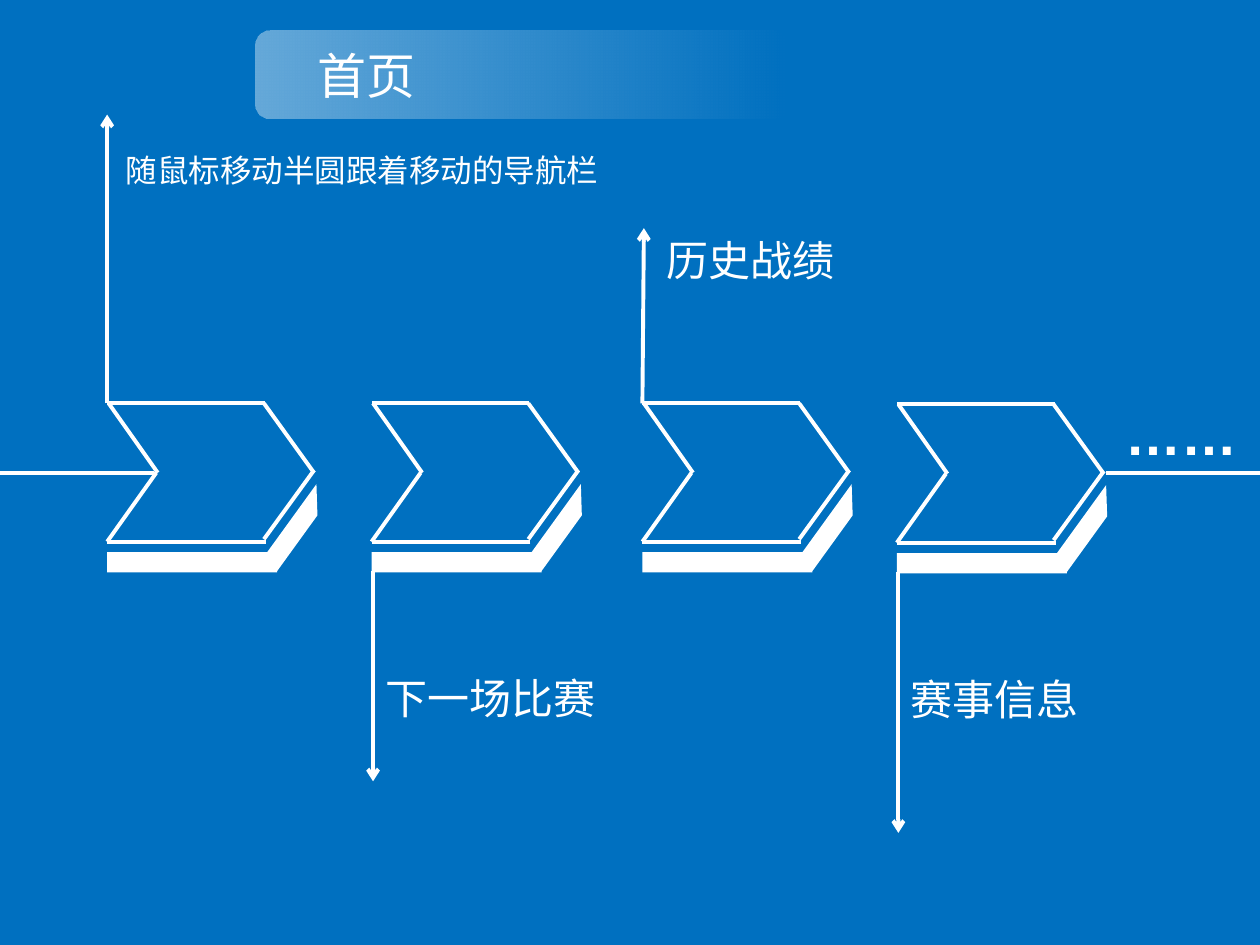
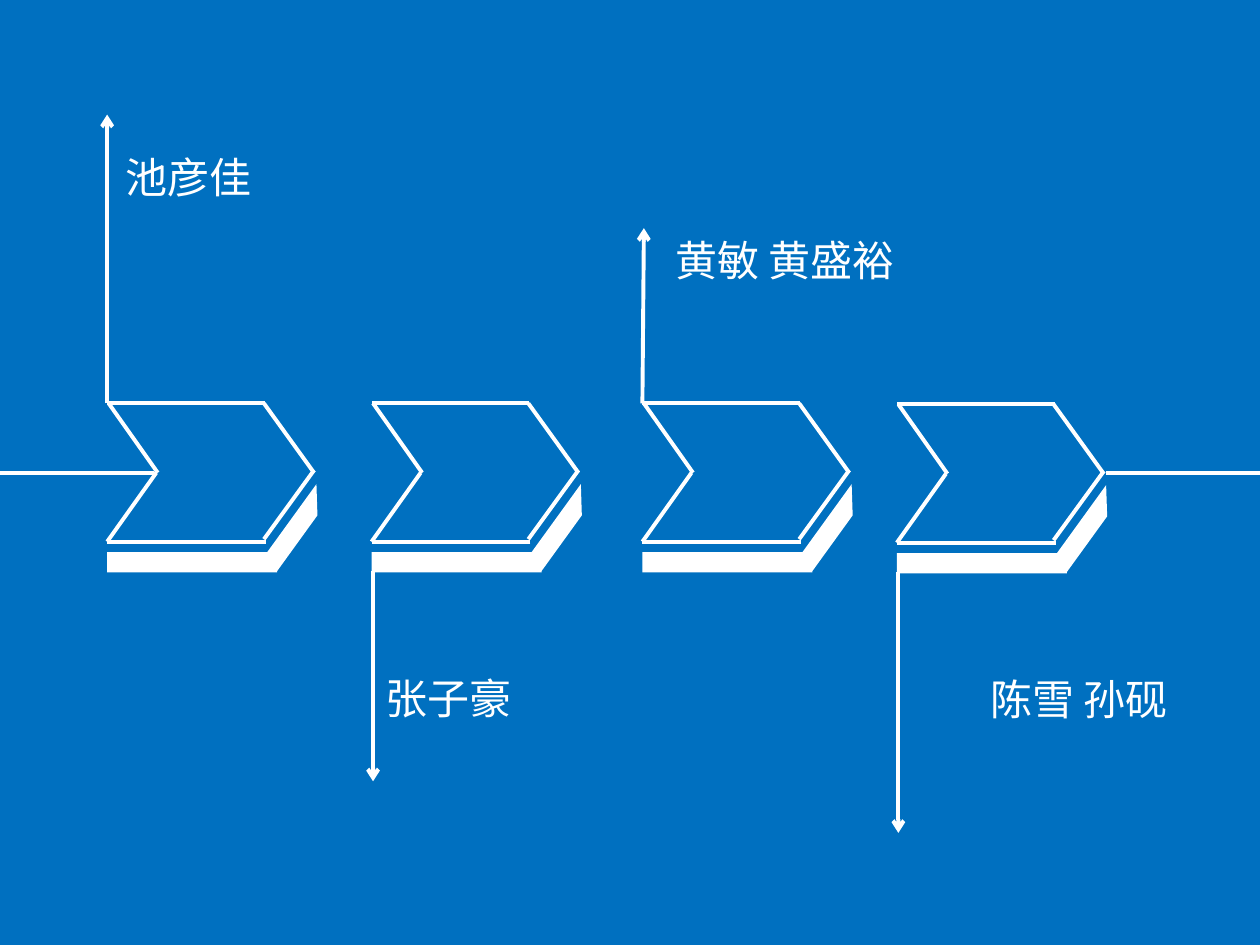
from dataclasses import dataclass

from lxml import etree
from pptx import Presentation
from pptx import util as u
from pptx.dml.color import RGBColor
from pptx.enum import shapes, text
from pptx.oxml import ns

BLUE = "0070C0"
WHITE = "FFFFFF"
CJK_FONT = "Noto Sans CJK SC"
LINE_WIDTH = u.Pt(2.25)
AXIS_Y = 9.53

# All coordinates are centimetres; chevron parts are relative to the stage corner.
CHEVRON_EDGES = [
    ((1.02, 1.4), (0.03, 0)),
    ((3.18, 0), (0, 0)),
    ((4.17, 1.4), (3.16, 0)),
    ((0.99, 1.4), (0, 2.79)),
    ((3.2, 2.79), (0, 2.79)),
    ((4.17, 1.35), (3.16, 2.74)),
]
FOLD_POINTS = [(3.12, 3.15), (4.22, 1.63), (4.24, 2.26), (3.43, 3.38)]
BAR_TOP, BAR_WIDTH, BAR_HEIGHT = 3.0, 3.43, 0.41


@dataclass(frozen=True)
class Stage:
    left: float
    top: float
    arrow_start: tuple[float, float]
    arrow_end: tuple[float, float]


@dataclass(frozen=True)
class Label:
    words: str
    left: float
    top: float
    width: float
    height: float = 1.27
    size: int = 24
    font: str = CJK_FONT
    bold: bool = False
    wrap: bool = False
    align: text.PP_ALIGN = text.PP_ALIGN.LEFT


STAGES = [
    Stage(2.16, 8.13, (2.16, 8.13), (2.16, 2.31)),
    Stage(7.49, 8.13, (7.52, 11.51), (7.52, 15.75)),
    Stage(12.95, 8.13, (12.95, 8.13), (12.98, 4.6)),
    Stage(18.08, 8.15, (18.11, 11.53), (18.11, 16.79)),
]
FEATURES = [
    Label("随鼠标移动半圆跟着移动的导航栏", 2.29, 2.92, 10.13, 1.02, size=18),
    Label("下一场比赛", 7.52, 13.44, 4.78),
    Label("历史战绩", 13.18, 4.6, 3.94),
    Label("赛事信息", 18.11, 13.46, 3.94),
    Label("……", 22.43, 7.92, 2.97, 1.63, size=32, font="Arial", bold=True, wrap=True),
]
MEMBERS = [
    Label("池彦佳", 2.29, 2.92, 3.07),
    Label("张子豪", 7.52, 13.44, 3.07),
    Label("黄敏 黄盛裕", 13.37, 4.6, 5.08),
    Label("陈雪 孙砚", 19.66, 13.46, 4.19, align=text.PP_ALIGN.CENTER),
]
PAGE_TITLE = Label("首页", 6.15, 0.79, 9.73, 1.45, size=28, wrap=True)


def colour(value: str) -> RGBColor:
    return RGBColor.from_string(value)


def add_child(parent, tag: str, **attributes: str) -> None:
    etree.SubElement(parent, ns.qn(tag), attributes)


def fill_white(shape) -> None:
    shape.shadow.inherit = False
    shape.fill.solid()
    shape.fill.fore_color.rgb = colour(WHITE)
    shape.line.fill.background()


def draw_line(slide, start: tuple, end: tuple, arrow: bool = False) -> None:
    ends = [u.Cm(value) for value in (*start, *end)]
    connector = slide.shapes.add_connector(shapes.MSO_CONNECTOR.STRAIGHT, *ends)
    connector.line.color.rgb = colour(WHITE)
    connector.line.width = LINE_WIDTH
    properties = connector._element.spPr
    if arrow:
        add_child(properties.find(ns.qn("a:ln")), "a:tailEnd", type="arrow")
    add_child(properties, "a:effectLst")


def draw_stage(slide, stage: Stage) -> None:
    """Draw a chevron outline, its solid underside and its arrow."""

    def place(point: tuple) -> tuple[float, float]:
        return stage.left + point[0], stage.top + point[1]

    for start, end in CHEVRON_EDGES:
        draw_line(slide, place(start), place(end))
    bar = slide.shapes.add_shape(
        shapes.MSO_SHAPE.RECTANGLE, u.Cm(stage.left), u.Cm(stage.top + BAR_TOP),
        u.Cm(BAR_WIDTH), u.Cm(BAR_HEIGHT))
    fill_white(bar)
    corners = [tuple(u.Cm(value) for value in place(point)) for point in FOLD_POINTS]
    builder = slide.shapes.build_freeform(*corners[0])
    builder.add_line_segments(corners[1:], close=True)
    fill_white(builder.convert_to_shape())
    draw_line(slide, stage.arrow_start, stage.arrow_end, arrow=True)


def write_label(shape, label: Label) -> None:
    """Move a text shape to the label's place and give it the label's words."""
    shape.left, shape.top = u.Cm(label.left), u.Cm(label.top)
    shape.width, shape.height = u.Cm(label.width), u.Cm(label.height)
    frame = shape.text_frame
    frame.word_wrap = label.wrap
    frame.auto_size = text.MSO_AUTO_SIZE.SHAPE_TO_FIT_TEXT
    frame.vertical_anchor = text.MSO_ANCHOR.TOP
    paragraph = frame.paragraphs[0]
    paragraph.alignment = label.align
    run = paragraph.add_run()
    run.text = label.words
    run.font.size = u.Pt(label.size)
    run.font.bold = label.bold
    run.font.color.rgb = colour(WHITE)
    run.font.name = label.font
    add_child(run._r.get_or_add_rPr(), "a:ea", typeface=label.font)


def draw_timeline(slide, labels: list[Label]) -> None:
    draw_line(slide, (0, AXIS_Y), (3.1, AXIS_Y))
    draw_line(slide, (22.3, AXIS_Y), (25.4, AXIS_Y))
    for stage in STAGES:
        draw_stage(slide, stage)
    for label in labels:
        write_label(slide.shapes.add_textbox(0, 0, 0, 0), label)


def draw_title(slide) -> None:
    """Put the title on a band that fades out to the right."""
    band = slide.shapes.add_shape(
        shapes.MSO_SHAPE.ROUNDED_RECTANGLE,
        u.Cm(9.63), u.Cm(-3.86), u.Cm(1.78), u.Cm(10.72))
    band.rotation = 270
    band.shadow.inherit = False
    band.line.fill.background()
    band.fill.gradient()
    band.fill.gradient_angle = 270
    for stop, opacity in zip(band.fill.gradient_stops, ("40000", "0")):
        stop.color.rgb = colour(WHITE)
    for tint, opacity in zip(band._element.spPr.iter(ns.qn("a:srgbClr")), ("40000", "0")):
        add_child(tint, "a:alpha", val=opacity)
    title = slide.shapes.title
    write_label(title, PAGE_TITLE)
    band._element.addnext(title._element)


def main() -> None:
    presentation = Presentation()
    presentation.slide_width, presentation.slide_height = u.Cm(25.4), u.Cm(19.05)
    background = presentation.slide_master.background.fill
    background.solid()
    background.fore_color.rgb = colour(BLUE)
    layouts = presentation.slide_layouts

    home = presentation.slides.add_slide(layouts.get_by_name("Title Only"))
    draw_timeline(home, FEATURES)
    draw_title(home)

    team = presentation.slides.add_slide(layouts.get_by_name("Blank"))
    draw_timeline(team, MEMBERS)

    presentation.save("out.pptx")


if __name__ == "__main__":
    main()
